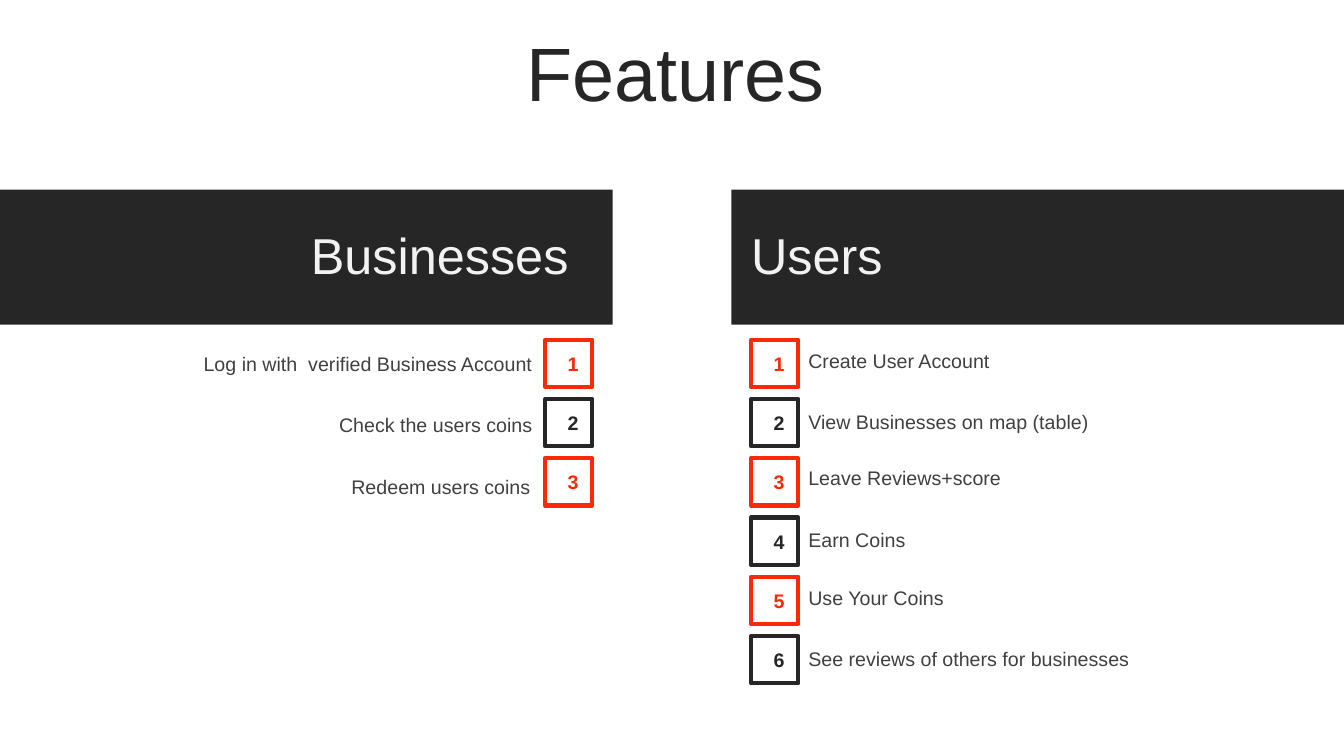
"""Build the Features slide comparing businesses and users."""
from pptx import Presentation
from pptx.dml.color import RGBColor
from pptx.enum.shapes import MSO_SHAPE
from pptx.enum.text import MSO_ANCHOR, PP_ALIGN
from pptx.util import Pt

DARK, RED, GRAY, LIGHT = "262626", "FD2906", "404040", "F2F2F2"
BANNER_TOP, BANNER_W, BANNER_H = 135.4, 437.6, 96.5
BOX_TOP, BOX_SIZE, BOX_PITCH = 242.7, 33.8, 42.33

prs = Presentation()
prs.slide_width, prs.slide_height = Pt(960), Pt(540)
s = prs.slides.add_slide(prs.slide_layouts[6])


def add_rect(x, y, w, h, fill=None, line=None):
    sp = s.shapes.add_shape(MSO_SHAPE.RECTANGLE, Pt(x), Pt(y), Pt(w), Pt(h))
    sp.shadow.inherit = False
    if fill:
        sp.fill.solid()
        sp.fill.fore_color.rgb = RGBColor.from_string(fill)
    else:
        sp.fill.background()
    if line:
        sp.line.color.rgb = RGBColor.from_string(line)
        sp.line.width = Pt(3)
    else:
        sp.line.fill.background()


def add_text(x, y, w, h, text, size, color, align, pad=(7.2, 3.6), bold=False, spacing=None):
    tf = s.shapes.add_textbox(Pt(x), Pt(y), Pt(w), Pt(h)).text_frame
    tf.word_wrap = True
    tf.vertical_anchor = MSO_ANCHOR.MIDDLE
    tf.margin_left = tf.margin_right = Pt(pad[0])
    tf.margin_top = tf.margin_bottom = Pt(pad[1])
    p = tf.paragraphs[0]
    p.text = text
    p.alignment = align
    p.line_spacing = spacing
    r = p.runs[0]
    r.font.name = "Arial"
    r.font.size = Pt(size)
    r.font.bold = bold
    r.font.color.rgb = RGBColor.from_string(color)


add_text(26.6, 26.6, 911.5, 56.9, "Features", 54, DARK, PP_ALIGN.CENTER, spacing=0.9)

columns = [
    ("Businesses", PP_ALIGN.RIGHT, 0, 14.4, 389.4, [
        ("Log in with  verified Business Account", 35.3, 247.7),
        ("Check the users coins", 35.3, 291.2),
        ("Redeem users coins", 33.9, 335.5),
    ]),
    ("Users", PP_ALIGN.LEFT, 522.5, 536.5, 536.5, [
        ("Create User Account", 570.3, 245.5),
        ("View Businesses on map (table)", 570.3, 289.2),
        ("Leave Reviews+score", 570.3, 329.2),
        ("Earn Coins", 570.3, 373),
        ("Use Your Coins", 570.3, 414.5),
        ("See reviews of others for businesses", 570.3, 458),
    ]),
]

for heading, align, banner_x, heading_x, box_x, features in columns:
    add_rect(banner_x, BANNER_TOP, BANNER_W, BANNER_H, fill=DARK)
    add_text(heading_x, 163.4, 391.7, 40.3, heading, 36, LIGHT, align, pad=(0, 0), spacing=Pt(40))
    for i, (feature, x, y) in enumerate(features):
        color = DARK if i % 2 else RED
        box_y = BOX_TOP + i * BOX_PITCH
        add_rect(box_x, box_y, BOX_SIZE, BOX_SIZE, line=color)
        add_text(box_x + 9, box_y + 8.3, 15.8, 17.3, str(i + 1), 14, color,
                 PP_ALIGN.CENTER, pad=(7.2, 0), bold=True)
        add_text(x, y, 352.1, 24.5, feature, 14, GRAY, align)

prs.save("out.pptx")
